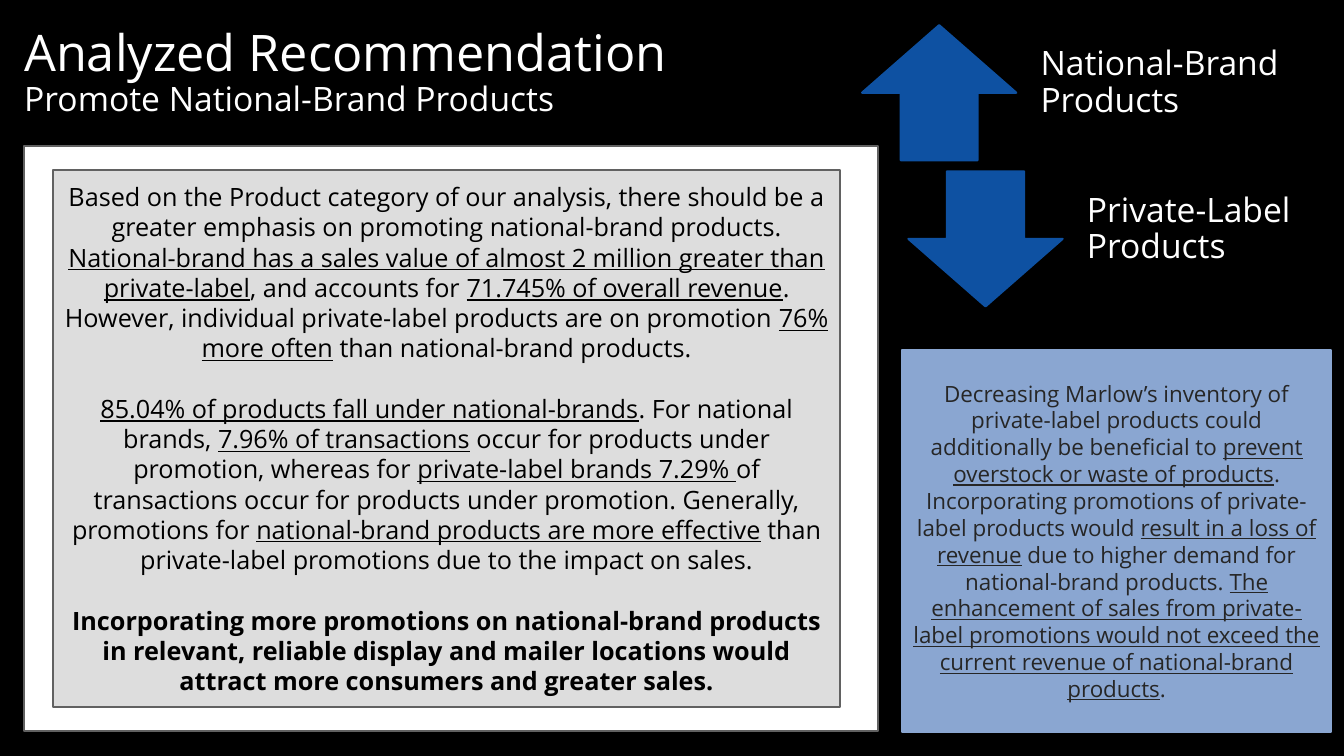
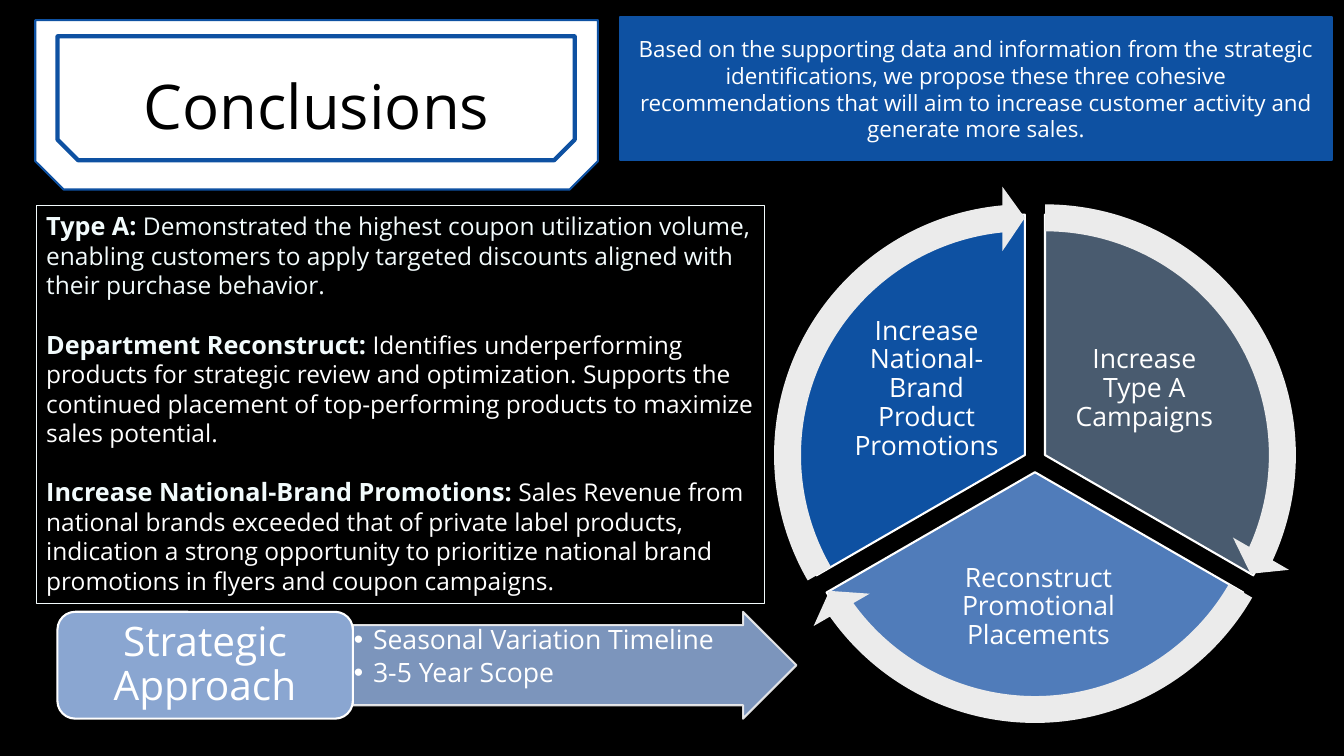
from pptx import Presentation
from pptx.dml.color import RGBColor
from pptx.enum.shapes import MSO_SHAPE
from pptx.enum.text import MSO_ANCHOR, MSO_AUTO_SIZE, PP_ALIGN
from pptx.oxml.ns import qn
from pptx.util import Inches, Pt
from lxml.etree import SubElement

FONT = "Open Sans"
COLORS = {
    "black": "000000", "white": "FFFFFF", "blue": "0E51A2", "mid_blue": "507CBA",
    "light_blue": "8AA6D1", "slate": "495B6F", "ring": "EBEBEB", "mint": "F2FBFC",
    "border": "616161", "panel": "DDDDDD", "ink": "262626", "edge": "F2F2F2",
}
LINE_HEIGHT = 1.2
DEFAULT_INSETS = (0.1, 0.05, 0.1, 0.05)
LABEL_INSETS = (0.19, 0, 0.19, 0.19)
TIGHT_INSETS = (0.03, 0.03, 0.03, 0.03)

ANALYSIS = [
    "Based on the Product category of our analysis, there should be a greater emphasis on "
    "promoting national-brand products. _National-brand has a sales value of almost 2 million "
    "greater than private-label_, and accounts for _71.745% of overall revenue_. However, "
    "individual private-label products are on promotion _76% more often_ than national-brand "
    "products.",
    "_85.04% of products fall under national-brands_. For national brands, _7.96% of "
    "transactions_ occur for products under promotion, whereas for _private-label brands "
    "7.29% _of transactions occur for products under promotion. Generally, promotions for "
    "_national-brand products are more effective_ than private-label promotions due to the "
    "impact on sales.",
    "*Incorporating more promotions on national-brand products in relevant, reliable display "
    "and mailer locations would attract more consumers and greater sales.*",
]
INVENTORY = [
    "Decreasing Marlow’s inventory of private-label products could additionally be beneficial "
    "to _prevent overstock or waste of products_. Incorporating promotions of private-label "
    "products would _result in a loss of revenue_ due to higher demand for national-brand "
    "products. _The enhancement of sales from private-label promotions would not exceed the "
    "current revenue of national-brand products_.",
]
PROPOSAL = [
    "Based on the supporting data and information from the strategic identifications, we "
    "propose these three cohesive recommendations that will aim to increase customer activity "
    "and generate more sales.",
]
FINDINGS = [
    "*Type A:* Demonstrated the highest coupon utilization volume, enabling customers to apply "
    "targeted discounts aligned with their purchase behavior.",
    "*Department Reconstruct:* Identifies underperforming products for strategic review and "
    "optimization. Supports the continued placement of top-performing products to maximize "
    "sales potential.",
    "*Increase National-Brand Promotions:* Sales Revenue from national brands exceeded that of "
    "private label products, indication a strong opportunity to prioritize national brand "
    "promotions in flyers and coupon campaigns.",
]
TRENDS = [
    (MSO_SHAPE.UP_ARROW, 8.55, 0.25, 2.85, "National-Brand Products"),
    (MSO_SHAPE.DOWN_ARROW, 9.01, 1.7, 2.6, "Private-Label Products"),
]
CYCLE = [
    (7.98, 2.13, 162, 18, "slate", (10.5, 3.15, 1.7, 1.42), "Increase Type A Campaigns"),
    (7.88, 2.3, 18, 90, "mid_blue", (9.02, 5.4, 2.56, 1.25),
     "Reconstruct Promotional Placements"),
    (7.78, 2.13, 90, 162, "blue", (8.34, 3.15, 1.7, 1.42),
     "Increase National-Brand Product Promotions"),
]


def rgb(name):
    """Return the palette colour with this name."""
    return RGBColor.from_string(COLORS[name])


def write(holder, paragraphs, size, color, align=PP_ALIGN.CENTER, anchor=MSO_ANCHOR.MIDDLE,
          insets=DEFAULT_INSETS, spacing=1.0, before=0, after=0):
    """Write paragraphs in which *...* is bold and _..._ is underlined."""
    frame = holder.text_frame
    frame.word_wrap = True
    frame.auto_size = MSO_AUTO_SIZE.NONE
    frame.vertical_anchor = anchor
    (frame.margin_left, frame.margin_top,
     frame.margin_right, frame.margin_bottom) = map(Inches, insets)
    for index, content in enumerate(paragraphs):
        paragraph = frame.add_paragraph() if index else frame.paragraphs[0]
        paragraph.alignment = align
        paragraph.line_spacing = spacing
        paragraph.space_before = Pt(before if index else 0)
        paragraph.space_after = Pt(after)
        for bold, stretch in enumerate(content.split("*")):
            for underlined, words in enumerate(stretch.split("_")):
                if words:
                    run = paragraph.add_run()
                    run.text = words
                    run.font.bold = bool(bold % 2)
                    run.font.underline = bool(underlined % 2)
                    style(run, size, color)
    return frame


def style(run, size, color):
    """Set font, size and colour of a run."""
    run.font.name = FONT
    run.font.size = Pt(size)
    run.font.color.rgb = rgb(color)


def add_block(slide, preset, box, fill=None, line=None, width=1.5, adjustments=()):
    """Add a flat preset shape."""
    block = slide.shapes.add_shape(preset, *map(Inches, box))
    block.shadow.inherit = False
    for index, value in enumerate(adjustments):
        block.adjustments[index] = value
    if fill:
        block.fill.solid()
        block.fill.fore_color.rgb = rgb(fill)
    else:
        block.fill.background()
    if line:
        block.line.color.rgb = rgb(line)
        block.line.width = Pt(width)
    else:
        block.line.fill.background()
    return block


def add_label(slide, box, label, size, **options):
    """Add a white text label with tight lines."""
    holder = slide.shapes.add_textbox(*map(Inches, box))
    write(holder, [label], size, "white", spacing=0.9, **options)


def place(placeholder, box):
    """Move a placeholder to its box, in front of what is already there."""
    placeholder.left, placeholder.top, placeholder.width, placeholder.height = map(Inches, box)
    placeholder.element.getparent().append(placeholder.element)
    return placeholder


def set_opacity(block, percent):
    """Make the fill and line of a shape partly transparent."""
    for color in block.element.spPr.iter(qn("a:srgbClr")):
        SubElement(color, qn("a:alpha")).set("val", str(percent * 1000))


def add_trends(slide):
    """Add the up and down arrows with their labels."""
    for preset, left, top, label_width, label in TRENDS:
        add_block(slide, preset, (left, top, 1.53, 1.34), "blue", "blue")
        add_label(slide, (left + 1.58, top, label_width, 1.34), label, 24,
                  align=PP_ALIGN.LEFT, insets=LABEL_INSETS)


def add_cycle(slide):
    """Add the three wedges and the ring of arrows around them."""
    diameter, ring_gap, head_angle = 4.77, 0.29, 3.275
    for left, top, start, end, color, label_box, label in CYCLE:
        add_block(slide, MSO_SHAPE.PIE, (left, top, diameter, diameter), color, "white",
                  adjustments=(start, end))
        add_label(slide, label_box, label, 19, insets=TIGHT_INSETS)
    ring = diameter + 2 * ring_gap
    for left, top, start, end, *_ in CYCLE:
        add_block(slide, MSO_SHAPE.CIRCULAR_ARROW, (left - ring_gap, top - ring_gap, ring, ring),
                  "ring", adjustments=(0.05, head_angle, end - head_angle, start, 0.06))


def add_findings(slide):
    """Add the outlined box of findings with bold lead-ins."""
    findings = add_block(slide, MSO_SHAPE.RECTANGLE, (0.36, 2.04, 7.22, 3.95),
                         line="mint", width=0.75)
    frame = write(findings, FINDINGS, 17.5, "white", PP_ALIGN.LEFT, MSO_ANCHOR.TOP,
                  before=17.5 * LINE_HEIGHT)
    for paragraph in frame.paragraphs:
        style(paragraph.runs[0], 18, "mint")
    style(frame.paragraphs[0].runs[1], 17.5, "mint")


def add_approach(slide):
    """Add the strategic approach arrow with its list."""
    arrow = add_block(slide, MSO_SHAPE.RIGHT_ARROW, (3.5, 6.07, 4.4, 1.06), "light_blue", "edge",
                      adjustments=(0.75, 0.5))
    set_opacity(arrow, 90)
    scope = place(slide.placeholders[1], (3.5, 6.21, 4, 0.8))
    frame = write(scope, ["Seasonal Variation Timeline", "3-5 Year Scope"], 19, "white",
                  PP_ALIGN.LEFT, MSO_ANCHOR.TOP, (0.01,) * 4, spacing=0.9, after=3)
    for paragraph in frame.paragraphs:
        properties = paragraph._p.get_or_add_pPr()
        properties.set("marL", str(Inches(0.19)))
        properties.set("indent", str(-Inches(0.19)))
        SubElement(properties, qn("a:buChar")).set("char", "•")
    approach = add_block(slide, MSO_SHAPE.ROUNDED_RECTANGLE, (0.57, 6.07, 2.93, 1.06),
                         "light_blue", "white")
    write(approach, ["Strategic Approach"], 29, "white", spacing=0.9)


def build_recommendation(prs):
    """Build the recommendation slide."""
    slide = prs.slides.add_slide(prs.slide_layouts[5])
    title = place(slide.shapes.title, (0.14, 0, 10.14, 1.45))
    title.text_frame.text = "Analyzed Recommendation\vPromote National-Brand Products"
    write(title, [""], 36, "white", PP_ALIGN.LEFT, spacing=0.9)
    for run, size in zip(title.text_frame.paragraphs[0].runs, (36, 24)):
        style(run, size, "white")
    add_trends(slide)
    add_block(slide, MSO_SHAPE.RECTANGLE, (0.24, 1.45, 8.47, 5.8), "white", "border")
    analysis = add_block(slide, MSO_SHAPE.RECTANGLE, (0.53, 1.69, 7.8, 5.32), "panel", "border")
    write(analysis, ANALYSIS, 18, "black", before=18 * LINE_HEIGHT)
    inventory = add_block(slide, MSO_SHAPE.RECTANGLE, (8.95, 3.47, 4.25, 3.79),
                          "light_blue", "light_blue")
    write(inventory, INVENTORY, 16, "ink")


def build_conclusions(prs):
    """Build the conclusions slide."""
    slide = prs.slides.add_slide(prs.slide_layouts[1])
    proposal = add_block(slide, MSO_SHAPE.RECTANGLE, (6.15, 0.17, 7.06, 1.42), "blue", "blue")
    write(proposal, PROPOSAL, 16, "white")
    add_cycle(slide)
    for box, width in (((0.35, 0.2, 5.58, 1.68), 1.5), ((0.57, 0.36, 5.13, 1.23), 3)):
        plaque = add_block(slide, MSO_SHAPE.SNIP_2_SAME_RECTANGLE, box, "white", "blue", width)
        plaque.rotation = 180
    title = place(slide.shapes.title, (0.97, 0.62, 4.34, 0.84))
    write(title, ["Conclusions"], 44, "black", anchor=MSO_ANCHOR.TOP)
    add_findings(slide)
    add_approach(slide)


def main():
    """Build and save the presentation."""
    prs = Presentation()
    prs.slide_width, prs.slide_height = Inches(13.33), Inches(7.5)
    background = prs.slide_master.background.fill
    background.solid()
    background.fore_color.rgb = rgb("black")
    build_recommendation(prs)
    build_conclusions(prs)
    prs.save("out.pptx")


if __name__ == "__main__":
    main()
